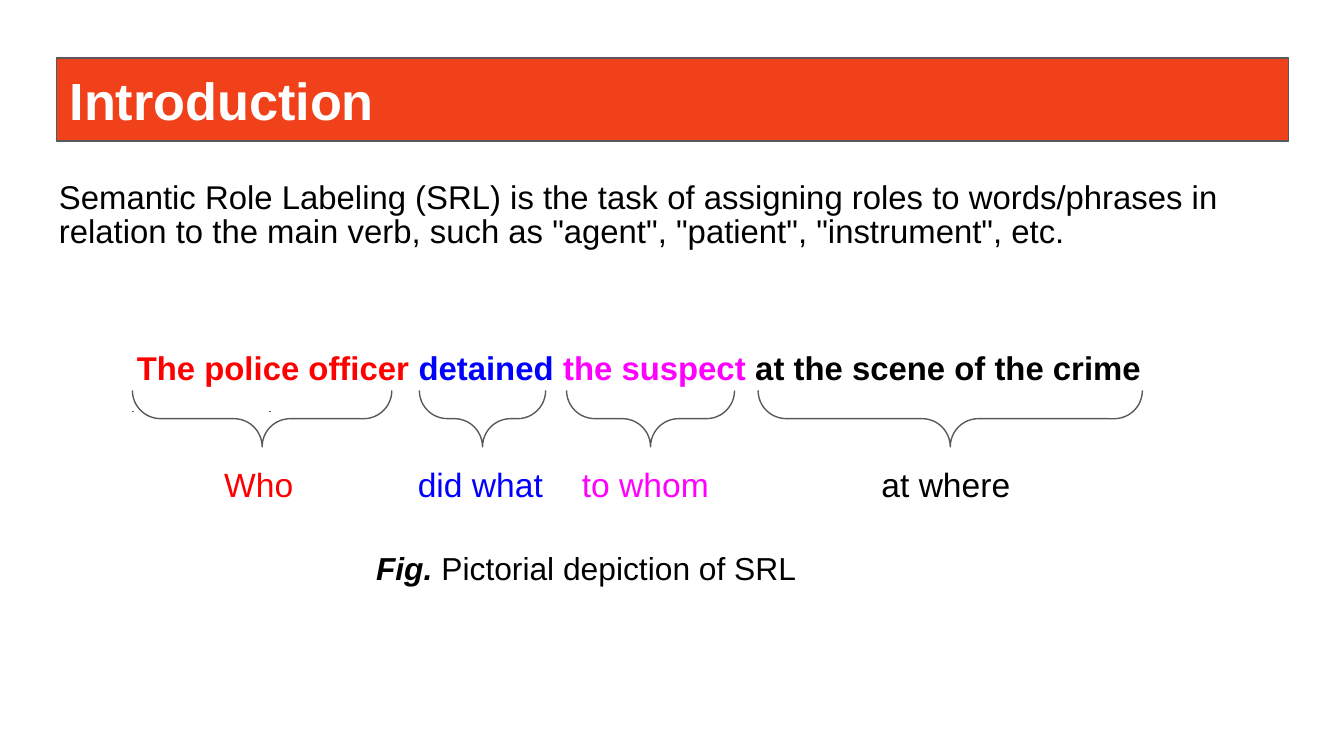
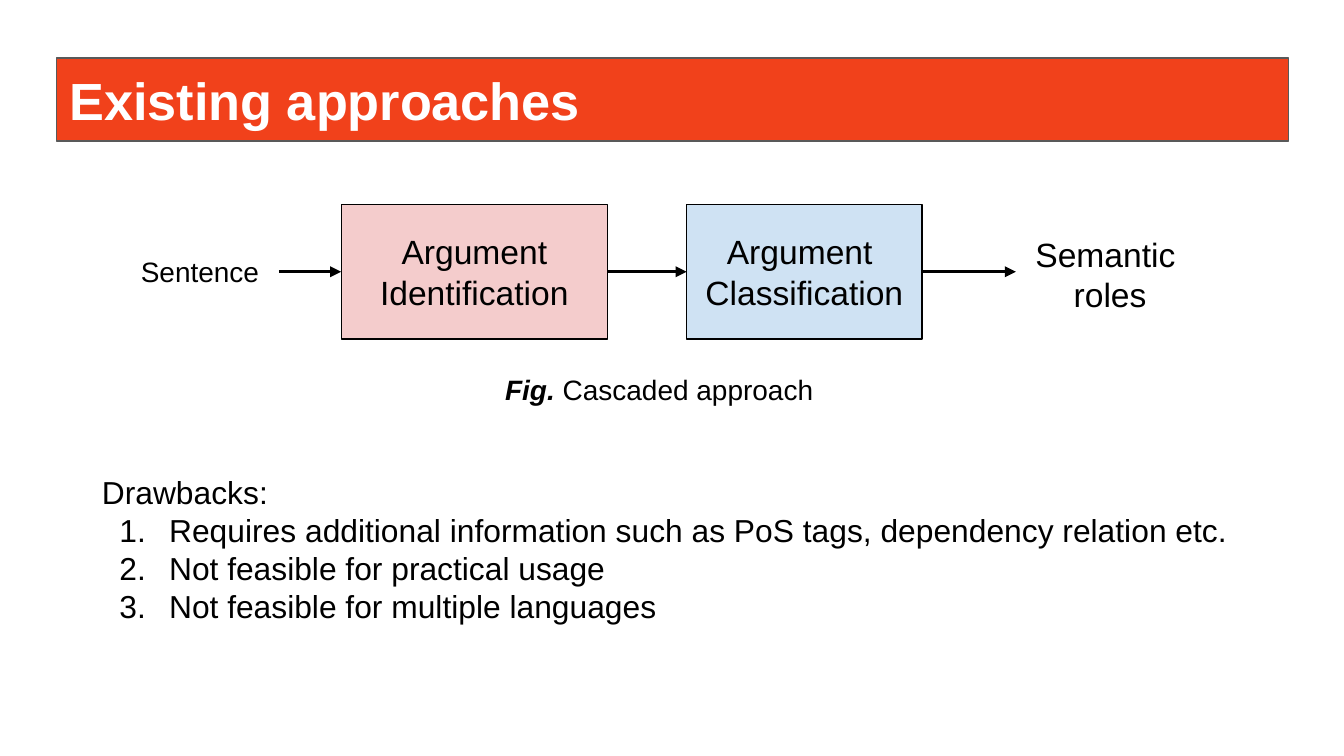
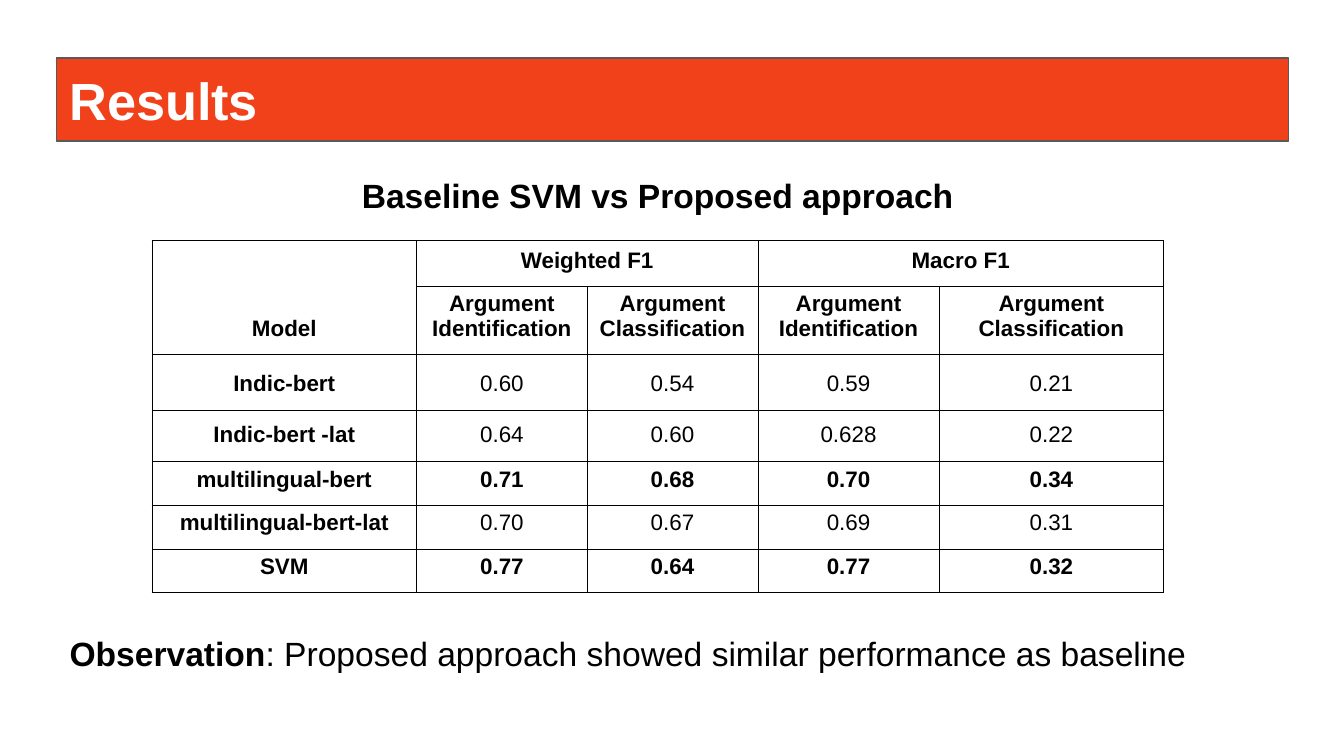
import pptx
import pptx.dml.color
import pptx.enum.shapes
import pptx.enum.text
import pptx.oxml
import pptx.oxml.ns
import pptx.util
from lxml import etree

Pt = pptx.util.Pt
Shapes = pptx.enum.shapes.MSO_SHAPE
Anchor = pptx.enum.text.MSO_ANCHOR
CENTER = pptx.enum.text.PP_ALIGN.CENTER

FONT = "Arial"
BLACK, WHITE, GRAY = "000000", "FFFFFF", "595959"
ORANGE, PINK, SKY = "F1411B", "F4CCCC", "CFE2F3"
RED, BLUE, MAGENTA = "FF0000", "0000FF", "FF00FF"
LEFT_SITE, RIGHT_SITE = 1, 3


def color(hex_string):
    return pptx.dml.color.RGBColor.from_string(hex_string)


def add_xml(parent, tag, **attributes):
    return etree.SubElement(parent, pptx.oxml.ns.qn(tag), **attributes)


# Text
def set_font(font, size=None, ink=None, bold=None, italic=None):
    if size:
        font.size = Pt(size)
        font.name = FONT
    if ink:
        font.color.rgb = color(ink)
    if bold is not None:
        font.bold = bold
    if italic is not None:
        font.italic = italic


def write(frame, paragraphs, size, ink=BLACK, bold=False, align=None,
          spacing=None, after=None):
    """Each paragraph is a string or a list of (text, font settings) runs."""
    frame.word_wrap = True
    for index, runs in enumerate(paragraphs):
        paragraph = frame.add_paragraph() if index else frame.paragraphs[0]
        if align is not None:
            paragraph.alignment = align
        if spacing:
            paragraph.line_spacing = spacing
        if after:
            paragraph.space_after = Pt(after)
        set_font(paragraph.font, size, ink, bold)
        for text, settings in [(runs, {})] if isinstance(runs, str) else runs:
            run = paragraph.add_run()
            run.text = text
            set_font(run.font, **settings)


def set_margins(target, left, top, right, bottom):
    target.margin_left, target.margin_top = Pt(left), Pt(top)
    target.margin_right, target.margin_bottom = Pt(right), Pt(bottom)


def add_text(slide, box, paragraphs, size, **settings):
    shape = slide.shapes.add_textbox(*map(Pt, box))
    set_margins(shape.text_frame, 7.2, 7.2, 7.2, 7.2)
    write(shape.text_frame, paragraphs, size, **settings)
    return shape


def add_caption(slide, box, text, size):
    add_text(slide, box, [[("Fig. ", {"bold": True, "italic": True}), (text, {})]], size)


# Shapes
def add_outline(slide, kind, box, line=GRAY, fill=None):
    shape = slide.shapes.add_shape(kind, *map(Pt, box))
    shape.shadow.inherit = False
    if fill:
        shape.fill.solid()
        shape.fill.fore_color.rgb = color(fill)
    else:
        shape.fill.background()
    shape.line.color.rgb = color(line)
    shape.line.width = Pt(0.75)
    return shape


def add_box(slide, box, paragraphs, size, fill, line, **settings):
    shape = add_outline(slide, Shapes.RECTANGLE, box, line, fill)
    shape.text_frame.vertical_anchor = Anchor.MIDDLE
    set_margins(shape.text_frame, 7.2, 7.2, 7.2, 7.2)
    write(shape.text_frame, paragraphs, size, **settings)
    return shape


def add_arrow(slide, source, target):
    arrow = slide.shapes.add_connector(
        pptx.enum.shapes.MSO_CONNECTOR.STRAIGHT, 0, 0, 0, 0)
    arrow.begin_connect(source, RIGHT_SITE)
    arrow.end_connect(target, LEFT_SITE)
    arrow.line.color.rgb = color(BLACK)
    arrow.line.width = Pt(1.5)
    add_xml(arrow.line._get_or_add_ln(), "a:tailEnd", type="triangle")
    add_xml(arrow._element.spPr, "a:effectLst")


def add_brace_below(slide, left, top, width, height):
    # A right brace turned by 90 degrees about the centre of its box
    box = (left + (width - height) / 2, top + (height - width) / 2, height, width)
    brace = add_outline(slide, Shapes.RIGHT_BRACE, box)
    brace.rotation = 90
    brace.adjustments[0] = brace.adjustments[1] = 0.5


def add_titled_slide(presentation, title):
    slide = presentation.slides.add_slide(presentation.slide_layouts[6])
    add_box(slide, (30.2, 31, 660.2, 44.6), [title], 28, ORANGE, GRAY,
            ink=WHITE, bold=True, align=pptx.enum.text.PP_ALIGN.LEFT)
    return slide


# Sentence with one brace and one role under each phrase
def add_labeled_sentence(slide, left, top):
    # phrase, ink, brace left, brace width, role, role left, role width
    parts = [
        ("The police officer ", RED, 4.7, 139, "Who", 46.8, 54),
        ("detained ", BLUE, 158.4, 67.7, "did what", 150.5, 87.8),
        ("the suspect ", MAGENTA, 237.3, 90, "to whom", 238.4, 87.8),
        ("at the scene of the crime", BLACK, 339.9, 205.9, "at where", 398.9, 87.8),
    ]
    sentence = [(phrase, {"ink": ink}) for phrase, ink, *_ in parts]
    add_text(slide, (left, top, 555.8, 37.4), [sentence], 17.6,
             bold=True, spacing=1.05, after=12)
    add_outline(slide, Shapes.DOUBLE_BRACE, (left + 5, top + 42.5, 73.4, 0))
    for _, ink, brace_left, brace_width, role, role_left, role_width in parts:
        add_brace_below(slide, left + brace_left, top + 31.4, brace_width, 30.2)
        add_text(slide, (left + role_left, top + 63.4, role_width, 33.1),
                 [role], 18, ink=ink)


# Cascade of two steps between input and output
def add_cascade(slide, left, top, height):
    def row(offset, width, part_height):
        return left + offset, top + (height - part_height) / 2, width, part_height

    nodes = [
        add_text(slide, row(0, 81, 33.1), ["Sentence"], 15),
        add_box(slide, row(114.4, 142.6, height), ["Argument Identification"],
                18, PINK, BLACK, align=CENTER),
        add_box(slide, row(299.5, 126, height), ["Argument ", "Classification"],
                18, SKY, BLACK, align=CENTER),
        add_text(slide, row(475.9, 100.8, 55.4), ["Semantic ", "roles"], 18, align=CENTER),
    ]
    for source, target in zip(nodes, nodes[1:]):
        add_arrow(slide, source, target)


def add_drawbacks(slide, box, heading, items):
    shape = add_text(slide, box, [heading, *items], 17)
    for paragraph in shape.text_frame.paragraphs[1:]:
        properties = paragraph._p.get_or_add_pPr()
        properties.set("marL", str(Pt(36)))
        properties.set("indent", str(Pt(-26.6)))
        numbering = pptx.oxml.parse_xml(
            '<a:buAutoNum xmlns:a="http://schemas.openxmlformats.org/drawingml/2006/main"'
            ' type="arabicPeriod"/>')
        # Numbering goes before the default font settings
        properties.insert(len(properties) - 1, numbering)


# Table of scores
def style_cell(cell):
    cell.vertical_anchor = Anchor.BOTTOM
    set_margins(cell, 0.7, 0.7, 0.7, 7.2)
    properties = cell._tc.get_or_add_tcPr()
    for side in ("a:lnL", "a:lnR", "a:lnT", "a:lnB"):
        border = add_xml(properties, side, w=str(Pt(0.38)))
        add_xml(add_xml(border, "a:solidFill"), "a:srgbClr", val=BLACK)
    cell.fill.background()


def add_score_table(slide, left, top):
    widths = [141.8, 91.4, 91.4, 97.2, 120.2]
    heights = [24.5, 36.7, 29.5, 27.4, 23.8, 23.4, 23.2]
    steps = ["Argument\nIdentification", "Argument Classification"]
    rows = [
        ["Model", "Weighted F1", "", "Macro F1", ""],
        ["", *steps, *steps],
        ["Indic-bert", "0.60", "0.54", "0.59", "0.21"],
        ["Indic-bert -lat", "0.64", "0.60", "0.628", "0.22"],
        ["multilingual-bert", "0.71", "0.68", "0.70", "0.34"],
        ["multilingual-bert-lat", "0.70", "0.67", "0.69", "0.31"],
        ["SVM", "0.77", "0.64", "0.77", "0.32"],
    ]
    bold_rows = {0, 1, 4, 6}
    table = slide.shapes.add_table(
        len(rows), len(widths), Pt(left), Pt(top), Pt(sum(widths)), Pt(sum(heights))).table
    table.first_row = table.horz_banding = False
    for column, width in zip(table.columns, widths):
        column.width = Pt(width)
    for r, (texts, height) in enumerate(zip(rows, heights)):
        table.rows[r].height = Pt(height)
        for c, text in enumerate(texts):
            cell = table.cell(r, c)
            style_cell(cell)
            if text:
                loose = r == 0 or (r > 1 and c > 0)
                write(cell.text_frame, text.split("\n"), 12, align=CENTER,
                      bold=c == 0 or r in bold_rows, spacing=1.15 if loose else 1.0)
    for first, last in [((0, 0), (1, 0)), ((0, 1), (0, 2)), ((0, 3), (0, 4))]:
        table.cell(*first).merge(table.cell(*last))


# Slides
def build_introduction(presentation):
    slide = add_titled_slide(presentation, "Introduction")
    add_text(slide, (24.5, 90.7, 671, 64.8), [
        "Semantic Role Labeling (SRL) is the task of assigning roles to words/phrases in "
        'relation to the main verb, such as "agent", "patient", "instrument", etc.',
    ], 17.6, spacing=0.85)
    add_labeled_sentence(slide, 66.2, 177.8)
    add_caption(slide, (194.4, 286.6, 280, 33.1), "Pictorial depiction of SRL", 17)


def build_approaches(presentation):
    slide = add_titled_slide(presentation, "Existing approaches")
    add_cascade(slide, 68.4, 109.6, 72)
    add_caption(slide, (263.5, 192.2, 193, 33.1), "Cascaded approach", 15)
    add_drawbacks(slide, (47.5, 246.2, 633.6, 103), "Drawbacks:", [
        "Requires additional information such as PoS tags, dependency relation etc.",
        "Not feasible for practical usage",
        "Not feasible for multiple languages",
    ])


def build_results(presentation):
    slide = add_titled_slide(presentation, "Results")
    add_score_table(slide, 81.4, 128.9)
    add_text(slide, (77, 86.4, 550.8, 36.7), ["Baseline SVM vs Proposed approach"],
             18, bold=True, align=CENTER)
    add_text(slide, (30.2, 331.9, 646.6, 36.7), [[
        ("Observation", {"bold": True}),
        (": Proposed approach showed similar performance as baseline", {}),
    ]], 18)


def main():
    presentation = pptx.Presentation()
    presentation.slide_width, presentation.slide_height = Pt(720), Pt(405)
    build_introduction(presentation)
    build_approaches(presentation)
    build_results(presentation)
    presentation.save("out.pptx")


if __name__ == "__main__":
    main()
